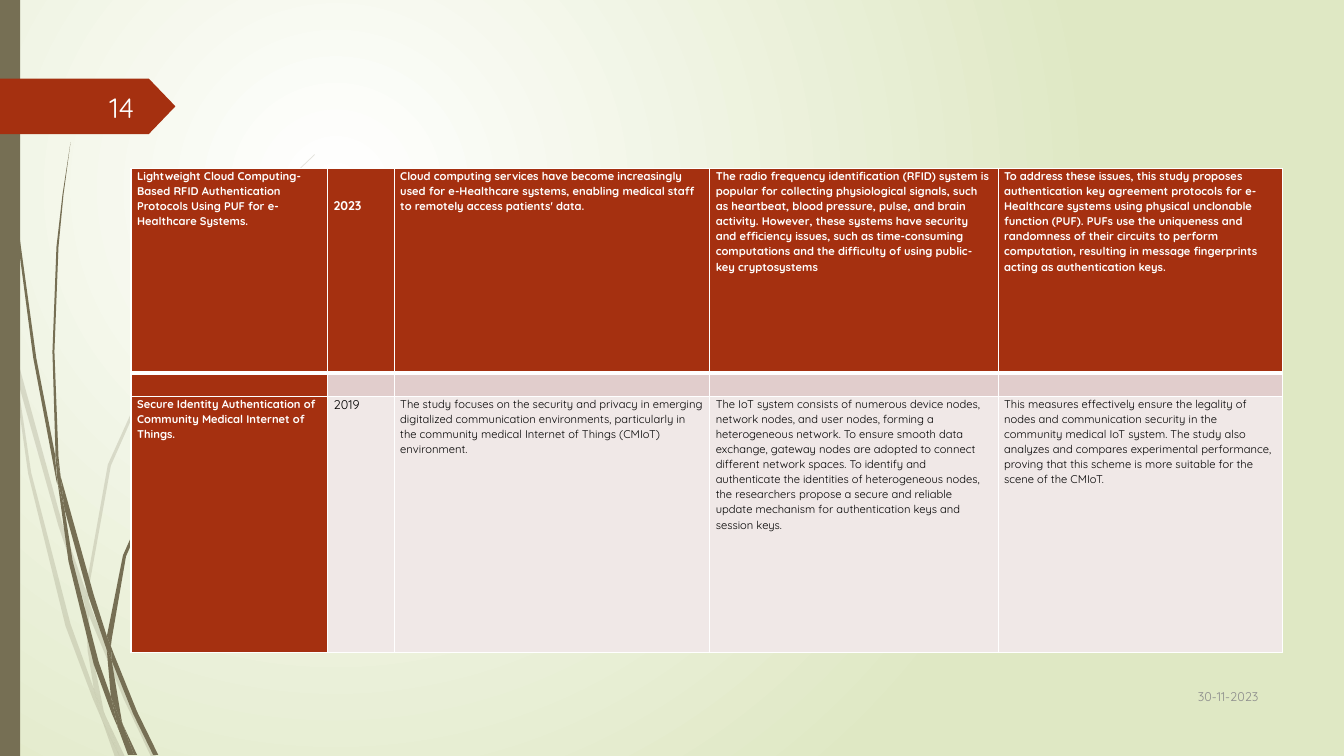
from lxml.etree import SubElement
from pptx import Presentation
from pptx.dml.color import RGBColor as RGB
from pptx.enum.shapes import MSO_SHAPE as SHAPE
from pptx.enum.text import MSO_ANCHOR as ANCHOR, PP_ALIGN as ALIGN
from pptx.oxml.ns import qn
from pptx.util import Inches, Pt

# The slide is a grid of 1333 columns by 750 rows
CELL = Inches(0.01)
COLUMNS, ROWS = 1333, 750

COLORS = {
    "white": "FFFFFF", "mist": "DFE8C4", "olive": "766F54", "rust": "A53010",
    "rose": "E1CDCC", "blush": "F0E8E7", "black": "000000", "grey": "8C8C8C",
    "number": "FEFFFF",
}

# Grass outlines as (column, row) points
PALE_GRASS = [
    [(11, 350), (9, 322), (0, 282), (0, 299), (10, 344)],
    [(58, 522), (84, 599), (85, 586), (62, 520), (14, 345), (17, 376)],
    [(92, 607), (88, 596), (88, 610), (123, 694), (150, 751), (155, 751), (127, 692)],
    [(119, 751), (124, 751), (105, 711)],
    [(93, 683), (70, 619), (31, 469), (17, 376), (11, 350), (28, 470), (65, 621),
     (92, 693), (101, 714), (99, 707)],
    [(84, 599), (87, 646), (93, 683), (96, 692), (105, 711), (103, 706), (91, 646),
     (88, 610), (88, 608)],
    [(88, 584), (110, 462), (160, 349), (229, 245), (268, 198), (290, 175), (312, 154),
     (312, 153), (289, 175), (268, 197), (228, 244), (158, 348), (107, 461), (85, 584),
     (85, 586), (88, 596)],
    [(101, 714), (114, 751), (119, 751)],
    [(88, 608), (88, 610), (88, 596), (85, 586), (84, 599)],
    [(96, 692), (93, 683), (99, 707), (101, 714), (119, 751), (105, 711)],
]
DARK_GRASS = [
    [(7, 110), (17, 233), (33, 355), (56, 477), (57, 481), (55, 457), (55, 453),
     (36, 355), (19, 232), (8, 109), (5, 48), (4, 0), (3, 0), (4, 48)],
    [(88, 592), (106, 645), (106, 633), (106, 631), (93, 590), (60, 472), (64, 505)],
    [(113, 649), (110, 641), (111, 656), (132, 708), (152, 749), (157, 749), (136, 706)],
    [(110, 691), (98, 657), (72, 556), (64, 505), (57, 477), (68, 557), (93, 659),
     (111, 708), (117, 722), (116, 717)],
    [(60, 472), (58, 453), (54, 349), (58, 245), (63, 193), (70, 141), (62, 193),
     (56, 245), (52, 349), (55, 449)],
    [(133, 749), (136, 749), (122, 719)],
    [(57, 477), (64, 505), (60, 472), (55, 449), (55, 453)],
    [(111, 633), (125, 552), (158, 476), (205, 406), (231, 374), (245, 359), (261, 344),
     (260, 344), (245, 358), (231, 373), (204, 405), (156, 474), (122, 551), (106, 631),
     (110, 641)],
    [(117, 722), (127, 749), (131, 749)],
    [(106, 645), (110, 691), (116, 706), (122, 719), (121, 716), (111, 656), (109, 651)],
    [(106, 645), (109, 651), (111, 656), (110, 641), (106, 631), (106, 633)],
    [(116, 706), (110, 691), (116, 717), (117, 722), (130, 749), (133, 749), (122, 719)],
]

# Table content: text by row and column
STUDIES = [
    ["Lightweight Cloud Computing-Based RFID Authentication Protocols Using PUF for "
     "e-Healthcare Systems.",
     "2023",
     "Cloud computing services have become increasingly used for e-Healthcare systems, "
     "enabling medical staff to remotely access patients' data.",
     "The radio frequency identification (RFID) system is popular for collecting "
     "physiological signals, such as heartbeat, blood pressure, pulse, and brain activity. "
     "However, these systems have security and efficiency issues, such as time-consuming "
     "computations and the difficulty of using public-key cryptosystems",
     "To address these issues, this study proposes authentication key agreement protocols "
     "for e-Healthcare systems using physical unclonable function (PUF). PUFs use the "
     "uniqueness and randomness of their circuits to perform computation, resulting in "
     "message fingerprints acting as authentication keys."],
    [""] * 5,
    ["Secure Identity Authentication of Community Medical Internet of Things.",
     "2019",
     "The study focuses on the security and privacy in emerging digitalized communication "
     "environments, particularly in the community medical Internet of Things (CMIoT) "
     "environment.",
     "The IoT system consists of numerous device nodes, network nodes, and user nodes, "
     "forming a heterogeneous network. To ensure smooth data exchange, gateway nodes are "
     "adopted to connect different network spaces. To identify and authenticate the "
     "identities of heterogeneous nodes, the researchers propose a secure and reliable "
     "update mechanism for authentication keys and session keys.",
     "This measures effectively ensure the legality of nodes and communication security in "
     "the community medical IoT system. The study also analyzes and compares experimental "
     "performance, proving that this scheme is more suitable for the scene of the CMIoT."],
]
YEAR = 1
COLUMN_WIDTHS = [195, 66, 313, 286, 282]
ROW_HEIGHTS = [203, 23, 254]
BODY_FILLS = ["rust", "rose", "blush"]


def color(name):
    return RGB.from_string(COLORS[name])


def apply(obj, formats):
    for name, value in formats.items():
        setattr(obj, name, value)


class SlideBuilder:
    font = "Quicksand"
    cell_format = {"margin_left": 6 * CELL, "margin_right": 6 * CELL,
                   "margin_top": 0, "margin_bottom": 0}
    paragraph_format = {"line_spacing": 1.07, "space_after": Pt(8)}

    def __init__(self, prs):
        self.slide = prs.slides.add_slide(prs.slide_layouts[6])
        self.shapes = self.slide.shapes

    def background(self, inner, outer):
        fill = self.slide.background.fill
        fill.gradient()
        for stop, name, position in zip(fill.gradient_stops, (inner, outer), (0, 1)):
            stop.color.rgb = color(name)
            stop.position = position
        grad = self.slide.element.find(".//" + qn("a:gradFill"))
        grad.remove(grad.find(qn("a:lin")))
        circle = SubElement(grad, qn("a:path"), {"path": "circle"})
        SubElement(circle, qn("a:fillToRect"), l="50000", t="50000", r="100000", b="100000")

    def paint(self, sp, fill, alpha=100):
        sp.shadow.inherit = False
        sp.fill.solid()
        sp.fill.fore_color.rgb = color(fill)
        sp.line.fill.background()
        if alpha < 100:
            srgb = sp.element.spPr.find(".//" + qn("a:srgbClr"))
            SubElement(srgb, qn("a:alpha"), val=str(alpha * 1000))

    def grass(self, outlines, fill, alpha=100):
        group = self.shapes.add_group_shape()
        for start, *rest in outlines:
            builder = group.shapes.build_freeform(*start, scale=CELL)
            builder.add_line_segments(rest, close=True)
            self.paint(builder.convert_to_shape(), fill, alpha)

    def shape(self, kind, box, fill):
        sp = self.shapes.add_shape(kind, *(v * CELL for v in box))
        self.paint(sp, fill)
        return sp

    def add_text(self, p, text, size, fill, bold=False):
        r = p.add_run()
        r.text = text
        apply(r.font, {"name": self.font, "size": Pt(size), "bold": bold})
        r.font.color.rgb = color(fill)

    def label(self, text, box, size, fill):
        tf = self.shapes.add_textbox(*(v * CELL for v in box)).text_frame
        apply(tf, {"word_wrap": True, "vertical_anchor": ANCHOR.MIDDLE})
        p = tf.paragraphs[0]
        p.alignment = ALIGN.RIGHT
        self.add_text(p, text, size, fill)

    def borders(self, cell, widths):
        tcPr = cell._tc.get_or_add_tcPr()
        for side, width in widths.items():
            ln = SubElement(tcPr, qn("a:ln" + side), w=str(int(Pt(width))))
            solid = SubElement(ln, qn("a:solidFill"))
            SubElement(solid, qn("a:srgbClr"), val=COLORS["white"])

    def table(self, left, top):
        frame = self.shapes.add_table(
            len(ROW_HEIGHTS), len(COLUMN_WIDTHS), left * CELL, top * CELL,
            sum(COLUMN_WIDTHS) * CELL, sum(ROW_HEIGHTS) * CELL)
        table = frame.table
        apply(table, {"first_row": False, "horz_banding": False})
        for column, width in zip(table.columns, COLUMN_WIDTHS):
            column.width = width * CELL
        for row, height in zip(table.rows, ROW_HEIGHTS):
            row.height = height * CELL
        for i, texts in enumerate(STUDIES):
            for j, text in enumerate(texts):
                self.table_cell(table.cell(i, j), i, j, text)

    def table_cell(self, cell, i, j, text):
        header = i == 0 or j == 0
        apply(cell, self.cell_format)
        if i == 0 and j == YEAR:
            cell.margin_top = 28 * CELL
        self.borders(cell, {"L": 1, "R": 1, "T": 3 if i == 1 else 1, "B": 3 if i == 0 else 1})
        cell.fill.solid()
        cell.fill.fore_color.rgb = color("rust" if header else BODY_FILLS[i])
        p = cell.text_frame.paragraphs[0]
        if text:
            apply(p, self.paragraph_format)
            self.add_text(p, text, 9 if j == YEAR else 8, "white" if header else "black", header)
        else:
            SubElement(p._p, qn("a:endParaRPr"), sz="800")


def main():
    prs = Presentation()
    apply(prs, {"slide_width": COLUMNS * CELL, "slide_height": ROWS * CELL})
    s = SlideBuilder(prs)

    # Backdrop
    s.background("white", "mist")
    s.grass(PALE_GRASS, "olive", alpha=20)
    s.grass(DARK_GRASS, "olive")
    s.shape(SHAPE.RECTANGLE, (0, 0, 20, ROWS), "olive")
    tag = s.shape(SHAPE.PENTAGON, (0, 78, 174, 55), "rust")
    tag.adjustments[0] = 0.48

    # Studies, date and page number
    s.table(130, 167)
    s.label("30-11-2023", (1133, 670, 125, 41), 9, "grey")
    s.label("14", (58, 86, 85, 40), 20, "number")
    prs.save("out.pptx")


if __name__ == "__main__":
    main()
